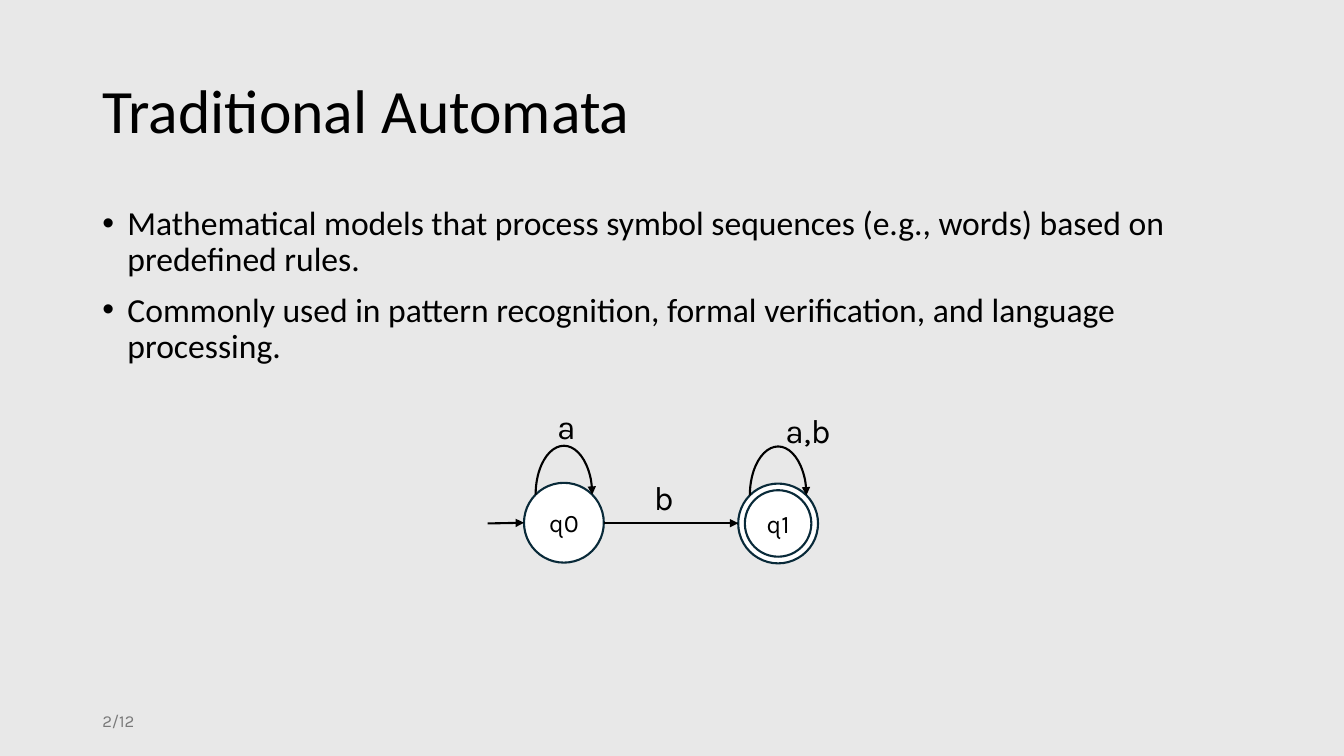
from pptx import Presentation
from pptx import util as u
from pptx.dml import color
from pptx.enum import shapes, text
from pptx.oxml import ns
from lxml import etree

Pt = u.Pt
BLACK, INK, GREY = "000000", "092A39", "797979"
POINTS = [
    "Mathematical models that process symbol sequences (e.g., words) based on predefined rules.",
    "Commonly used in pattern recognition, formal verification, and language processing.",
]
STATE_SIZE, ACCEPT_SIZE = 57, 47.5
LOOP_WIDTH, LOOP_HEIGHT = 40.4, 70


def rgb(value):
    return color.RGBColor.from_string(value)


def place(item, box):
    item.left, item.top, item.width, item.height = map(Pt, box)


def write(item, lines, size=24, font="Karla", shade=BLACK, align="LEFT",
          anchor="TOP", spacing=1.0, before=0, bullet=None):
    frame = item.text_frame
    frame.word_wrap = True
    frame.auto_size = text.MSO_AUTO_SIZE.NONE
    frame.vertical_anchor = getattr(text.MSO_ANCHOR, anchor)
    for index, line in enumerate(lines):
        para = frame.paragraphs[0] if index == 0 else frame.add_paragraph()
        para.text = line
        para.alignment = getattr(text.PP_ALIGN, align)
        para.line_spacing = spacing
        para.space_before = Pt(before if index else 0)
        if bullet:
            props = para._p.get_or_add_pPr()
            props.set("marL", str(Pt(18)))
            props.set("indent", str(-Pt(18)))
            face = etree.SubElement(props, ns.qn("a:buFont"))
            face.set("typeface", "Arial")
            etree.SubElement(props, ns.qn("a:buChar")).set("char", bullet)
        para.font.size = Pt(size)
        para.font.name = font
        para.font.bold = False
        para.font.color.rgb = rgb(shade)


def label(slide, box, lines, **style):
    item = slide.shapes.add_textbox(*map(Pt, box))
    write(item, lines, **style)


def stroke(item, shade, arrow=False):
    item.line.color.rgb = rgb(shade)
    item.line.width = Pt(1.5)
    if arrow:
        tail = etree.SubElement(item.line._get_or_add_ln(), ns.qn("a:tailEnd"))
        tail.set("type", "triangle")


def arrow(slide, start, end):
    link = slide.shapes.add_connector(
        shapes.MSO_CONNECTOR.STRAIGHT, *map(Pt, (*start, *end)))
    stroke(link, BLACK, arrow=True)
    etree.SubElement(link._element.spPr, ns.qn("a:effectLst"))


def outline(slide, kind, box, shade, fill=None, arrow=False):
    item = slide.shapes.add_shape(kind, *map(Pt, box))
    item.shadow.inherit = False
    if fill:
        item.fill.solid()
        item.fill.fore_color.rgb = rgb(fill)
    else:
        item.fill.background()
    stroke(item, shade, arrow)
    return item


def state(slide, center, name, accepting=False):
    x, y = center

    def around(size):
        return x - size / 2, y - size / 2, size, size

    circle = outline(slide, shapes.MSO_SHAPE.OVAL, around(STATE_SIZE), INK, "FFFFFF")
    write(circle, [name], size=18, align="CENTER", anchor="MIDDLE")
    if accepting:
        outline(slide, shapes.MSO_SHAPE.FLOWCHART_CONNECTOR, around(ACCEPT_SIZE), INK)
    loop = outline(slide, shapes.MSO_SHAPE.ARC,
                   (x - LOOP_WIDTH / 2, y - 55, LOOP_WIDTH, LOOP_HEIGHT),
                   BLACK, arrow=True)
    loop.adjustments[0] = 108
    loop.adjustments[1] = 0


def automaton(slide, box):
    left, top, width, height = box
    radius = STATE_SIZE / 2
    q0 = (left + 54.4, top + 87)
    q1 = (left + 207.4, top + 87.5)
    state(slide, q0, "q0")
    state(slide, q1, "q1", accepting=True)
    arrow(slide, (left, q0[1] + 0.5), (q0[0] - radius, q0[1]))
    arrow(slide, (q0[0] + radius, q0[1] + 0.3), (q1[0] - radius, q0[1] + 0.3))
    label(slide, (left + 42.5, top, 25.2, 36), ["a"], align="RIGHT")
    label(slide, (left + 111.6, top + 50.4, 25.2, 36), ["b"], align="RIGHT")
    label(slide, (left + 195.2, top + 3, 57, 36), ["a,b"], align="RIGHT")


def heading(slide, box):
    title = slide.shapes.title
    place(title, box)
    write(title, ["Traditional Automata"], size=44, font="Calibri",
          anchor="MIDDLE", spacing=0.9)


def main():
    deck = Presentation()
    deck.slide_width, deck.slide_height = Pt(960), Pt(540)
    slide = deck.slides.add_slide(deck.slide_layouts[5])
    slide.background.fill.solid()
    slide.background.fill.fore_color.rgb = rgb("E8E8E8")
    heading(slide, (66, 28.8, 828, 104.4))
    label(slide, (66, 144, 828, 126), POINTS, font="Calibri",
          spacing=0.9, before=10, bullet="•")
    automaton(slide, (348.4, 286.4, 252.2, 116))
    label(slide, (66, 500.4, 216, 28.8), ["2/12"], size=12, shade=GREY, anchor="MIDDLE")
    deck.save("out.pptx")


if __name__ == "__main__":
    main()
